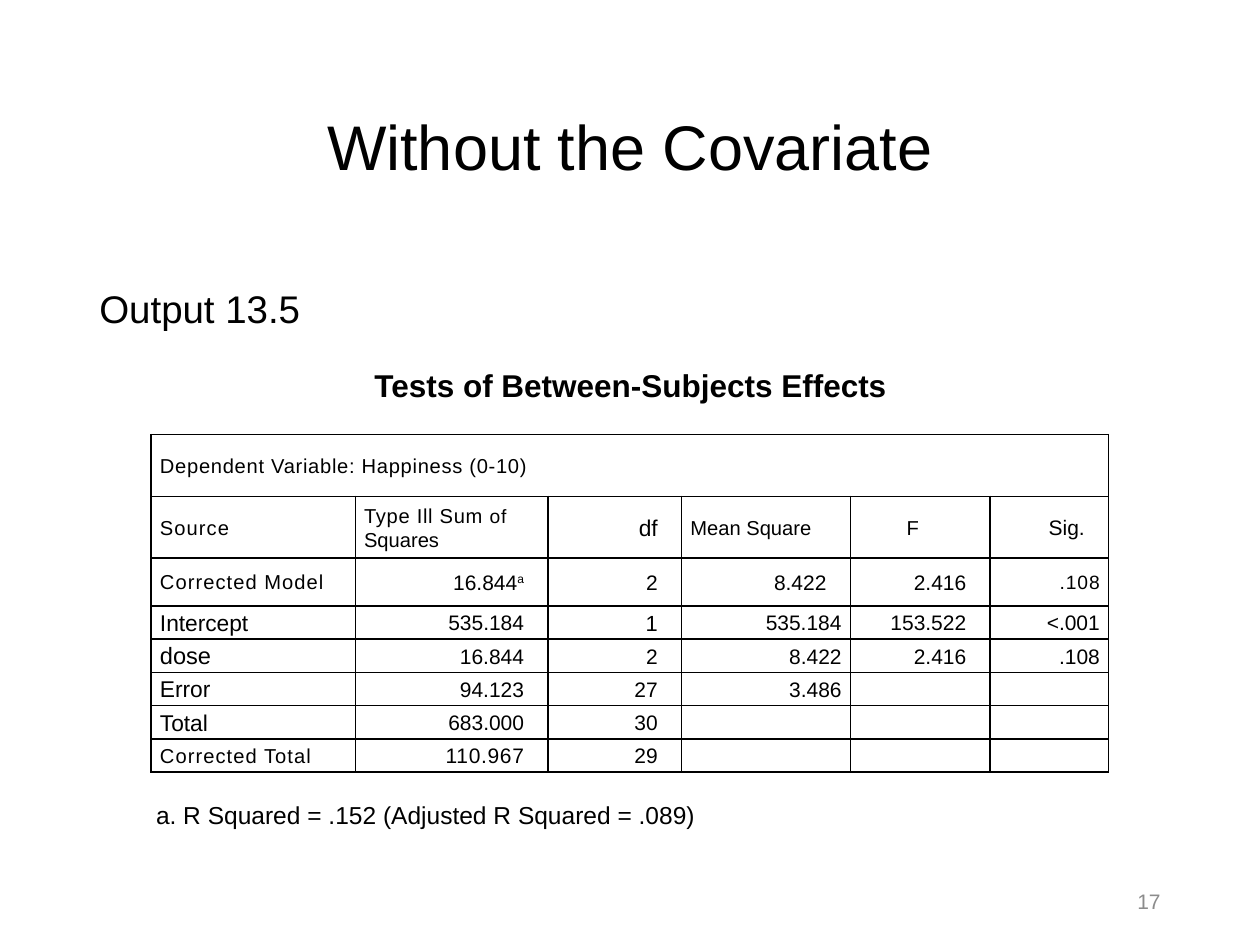
from lxml.etree import SubElement
from pptx import Presentation
from pptx.dml.color import RGBColor
from pptx.enum.text import MSO_ANCHOR, PP_ALIGN
from pptx.oxml.ns import qn
from pptx.util import Inches, Pt

BLACK = RGBColor(0x00, 0x00, 0x00)
GRAY = RGBColor(0x8C, 0x8C, 0x8C)
FONT = "Arial"
LEFT, CENTER, RIGHT = PP_ALIGN.LEFT, PP_ALIGN.CENTER, PP_ALIGN.RIGHT

# text, (left, top, width, height), size, alignment, anchor, colour, bold, line spacing
TEXTS = [
    ("Without the Covariate", (0.69, 0.47, 8.62, 1.45), 36, CENTER, MSO_ANCHOR.MIDDLE, BLACK, False, 0.9),
    ("Output 13.5", (0.69, 2.21, 8.62, 0.59), 22, LEFT, MSO_ANCHOR.TOP, BLACK, False, 1),
    ("Tests of Between-Subjects Effects", (1.54, 2.86, 6.93, 0.4), 18, CENTER, MSO_ANCHOR.TOP, BLACK, True, 1),
    ("a. R Squared = .152 (Adjusted R Squared = .089)", (1.14, 6.3, 6.93, 0.34), 14, LEFT,
     MSO_ANCHOR.TOP, BLACK, False, 1),
    ("17", (7.06, 6.95, 2.25, 0.4), 12, RIGHT, MSO_ANCHOR.MIDDLE, GRAY, False, 1),
]

# A cell is a list of runs: text, size, letter spacing in points
CAPTION = [("Dependent Variable: Happiness (0-10)", 11.5, 0.4)]
HEADER = [
    [("Source", 11.5, 0.6)],
    [("Type Ill Sum ", 11.5, 0.4), ("of", 11, 0.5), (" Squares", 11.5, 0)],
    [("df", 13, 0)],
    [("Mean Square", 11.5, 0)],
    [("F", 11.5, 0)],
    [("Sig.", 12, 0)],
]
HEADER_ALIGNMENTS = [LEFT, LEFT, RIGHT, LEFT, CENTER, RIGHT]
# label, label size, label spacing, values
EFFECTS = [
    ("Corrected Model", 11.5, 0.6, ["16.844", "2", "8.422", "2.416", ".108"]),
    ("Intercept", 13, 0, ["535.184", "1", "535.184", "153.522", "<.001"]),
    ("dose", 13.5, 0, ["16.844", "2", "8.422", "2.416", ".108"]),
    ("Error", 13, 0, ["94.123", "27", "3.486", "", ""]),
    ("Total", 13, 0, ["683.000", "30", "", "", ""]),
    ("Corrected Total", 11.5, 0.6, ["110.967", "29", "", "", ""]),
]
VALUE_SIZE = 12
SPECIAL_VALUES = {  # (row, column): size, letter spacing
    (2, 5): (11, 0.5),
    (3, 2): (12.5, 0),
    (7, 1): (12, 0.4),
}
FOOTNOTE_MARK = (2, 1)
INDENTED_COLUMNS = {1, 2, 4}
INDENTED_CELLS = {(1, 5), (2, 3)}
RIGHT_INDENT = Inches(0.12)

TABLE_AT = (1.2, 3.45, 7.6, 2.68)
COLUMN_WIDTHS = [1.62, 1.53, 1.06, 1.34, 1.11, 0.94]
TOP_ROW_HEIGHTS = [0.49, 0.49, 0.38]


def style_font(font, size, color=BLACK, bold=False):
    font.name = FONT
    font.size = Pt(size)
    font.color.rgb = color
    font.bold = bold


def add_text(slide, text, box, size, alignment, anchor, color, bold, line_spacing):
    frame = slide.shapes.add_textbox(*map(Inches, box)).text_frame
    frame.word_wrap = True
    frame.vertical_anchor = anchor
    frame.text = text
    paragraph = frame.paragraphs[0]
    paragraph.alignment = alignment
    paragraph.line_spacing = line_spacing
    style_font(paragraph.runs[0].font, size, color, bold)


def add_borders(cell):
    properties = cell._tc.get_or_add_tcPr()
    for position, side in enumerate(("lnL", "lnR", "lnT", "lnB")):
        line = properties.makeelement(qn(f"a:{side}"), {"w": str(Pt(1))})
        fill = SubElement(line, qn("a:solidFill"))
        SubElement(fill, qn("a:srgbClr"), val=str(BLACK))
        properties.insert(position, line)


def fill_cell(cell, runs, alignment, right_indent=0):
    cell.margin_left = cell.margin_right = Inches(0.07)
    cell.margin_top = cell.margin_bottom = 0
    cell.vertical_anchor = MSO_ANCHOR.MIDDLE
    cell.fill.background()
    add_borders(cell)
    paragraph = cell.text_frame.paragraphs[0]
    paragraph.alignment = alignment
    paragraph.line_spacing = 1.07
    if right_indent:
        paragraph._p.get_or_add_pPr().set("marR", str(right_indent))
    for text, size, spacing in runs:
        run = paragraph.add_run()
        run.text = text
        style_font(run.font, size)
        if spacing:
            run.font._element.set("spc", str(round(spacing * 100)))
    if not runs:
        # Keeps an empty cell from stretching its row
        SubElement(paragraph._p, qn("a:endParaRPr"), sz=str(VALUE_SIZE * 100))


def value_runs(text, position):
    if not text:
        return []
    runs = [(text, *SPECIAL_VALUES.get(position, (VALUE_SIZE, 0)))]
    if position == FOOTNOTE_MARK:
        runs.append(("a", VALUE_SIZE, 0))
    return runs


def add_effects_table(slide):
    row_count = len(EFFECTS) + 2
    table_shape = slide.shapes.add_table(row_count, len(COLUMN_WIDTHS), *map(Inches, TABLE_AT))
    table = table_shape.table
    table.first_row = table.horz_banding = False
    for column, width in zip(table.columns, COLUMN_WIDTHS):
        column.width = Inches(width)
    other_count = row_count - len(TOP_ROW_HEIGHTS)
    other_height = (TABLE_AT[3] - sum(TOP_ROW_HEIGHTS)) / other_count
    for row, height in zip(table.rows, TOP_ROW_HEIGHTS + [other_height] * other_count):
        row.height = Inches(height)

    table.cell(0, 0).merge(table.cell(0, len(COLUMN_WIDTHS) - 1))
    for column in range(len(COLUMN_WIDTHS)):
        fill_cell(table.cell(0, column), [] if column else CAPTION, LEFT)

    rows = [list(zip(HEADER, HEADER_ALIGNMENTS))]
    for row, (label, size, spacing, values) in enumerate(EFFECTS, start=2):
        cells = [(value_runs(text, (row, column)), RIGHT) for column, text in enumerate(values, start=1)]
        rows.append([([(label, size, spacing)], LEFT)] + cells)
    for row, cells in enumerate(rows, start=1):
        for column, (runs, alignment) in enumerate(cells):
            indented = column in INDENTED_COLUMNS or (row, column) in INDENTED_CELLS
            indent = RIGHT_INDENT if indented and alignment != LEFT else 0
            fill_cell(table.cell(row, column), runs, alignment, indent)

    mark = table.cell(*FOOTNOTE_MARK).text_frame.paragraphs[0].runs[-1]
    mark.font._element.set("baseline", "30000")


def main():
    presentation = Presentation()
    presentation.slide_width = Inches(10)
    presentation.slide_height = Inches(7.5)
    slide = presentation.slides.add_slide(presentation.slide_layouts[6])
    for text in TEXTS[:3]:
        add_text(slide, *text)
    add_effects_table(slide)
    for text in TEXTS[3:]:
        add_text(slide, *text)
    presentation.save("out.pptx")


if __name__ == "__main__":
    main()
